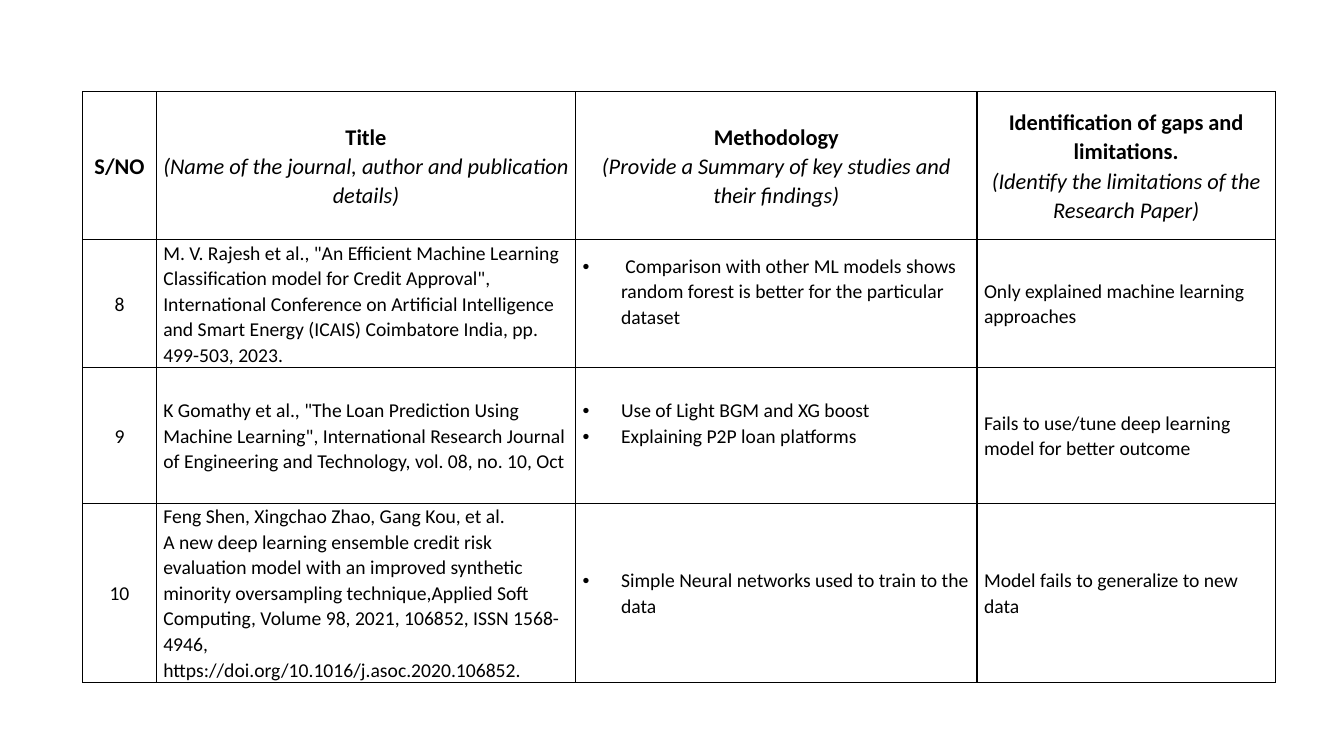
from lxml.etree import SubElement
from pptx import Presentation
from pptx.dml.color import RGBColor
from pptx.enum.text import MSO_ANCHOR, PP_ALIGN
from pptx.oxml.ns import qn
from pptx.util import Inches, Pt

COLORS = {"ink": "000000"}
COLUMN_WIDTHS = [0.73, 4.16, 3.98, 2.96]
ROW_HEIGHTS = [1.47, 1.24, 1.35, 1.35]
METHODOLOGY = 2
ROWS = [
    [
        ["S/NO"],
        ["Title", "(Name of the journal, author and publication details)"],
        ["Methodology", "(Provide a Summary of key studies and their findings)"],
        ["Identification of gaps and limitations.",
         "(Identify the limitations of the Research Paper)"],
    ],
    [
        ["8"],
        ['M. V. Rajesh et al., "An Efficient Machine Learning Classification model for '
         'Credit Approval", International Conference on Artificial Intelligence and '
         "Smart Energy (ICAIS) Coimbatore India, pp. 499-503, 2023."],
        [" Comparison with other ML models shows random forest is better for the "
         "particular dataset"],
        ["Only explained machine learning approaches"],
    ],
    [
        ["9"],
        ['K Gomathy et al., "The Loan Prediction Using Machine Learning", International '
         "Research Journal of Engineering and Technology, vol. 08, no. 10, Oct"],
        ["Use of Light BGM and XG boost", "Explaining P2P loan platforms"],
        ["Fails to use/tune deep learning model for better outcome"],
    ],
    [
        ["10"],
        ["Feng Shen, Xingchao Zhao, Gang Kou, et al.",
         "A new deep learning ensemble credit risk evaluation model with an improved "
         "synthetic minority oversampling technique,Applied Soft Computing, Volume 98, "
         "2021, 106852, ISSN 1568-4946, https://doi.org/10.1016/j.asoc.2020.106852."],
        ["Simple Neural networks used to train to the data"],
        ["Model fails to generalize to new data"],
    ],
]


def add_borders(cell):
    properties = cell._tc.get_or_add_tcPr()
    for side in ("lnL", "lnR", "lnT", "lnB"):
        line = SubElement(properties, qn(f"a:{side}"), w=str(Pt(1)))
        fill = SubElement(line, qn("a:solidFill"))
        SubElement(fill, qn("a:srgbClr"), val=COLORS["ink"])


def add_bullet(paragraph):
    properties = paragraph._p.get_or_add_pPr()
    properties.set("marL", str(Inches(0.38)))
    properties.set("indent", str(Inches(-0.38)))
    SubElement(properties, qn("a:buFont"), typeface="Arial")
    SubElement(properties, qn("a:buChar"), char="•")


presentation = Presentation()
presentation.slide_width = Inches(13.33)
presentation.slide_height = Inches(7.5)
slide = presentation.slides.add_slide(presentation.slide_layouts[6])

table = slide.shapes.add_table(
    len(ROWS), len(COLUMN_WIDTHS),
    Inches(0.82), Inches(0.91), Inches(11.82), Inches(5.8),
).table
table.first_row = False
table.horz_banding = False
for column, width in zip(table.columns, COLUMN_WIDTHS):
    column.width = Inches(width)
for row, height in zip(table.rows, ROW_HEIGHTS):
    row.height = Inches(height)

for row_index, row_texts in enumerate(ROWS):
    is_header = row_index == 0
    for column_index, texts in enumerate(row_texts):
        is_bulleted = column_index == METHODOLOGY and not is_header
        cell = table.cell(row_index, column_index)
        add_borders(cell)
        cell.fill.background()
        cell.vertical_anchor = MSO_ANCHOR.MIDDLE
        cell.margin_left = cell.margin_right = Inches(0.07)
        cell.margin_top = 0
        cell.margin_bottom = Inches(0.25 if is_bulleted and row_index < 3 else 0)
        cell.text = "\n".join(texts)
        for paragraph_index, paragraph in enumerate(cell.text_frame.paragraphs):
            paragraph.line_spacing = 1.07
            is_centered = is_header or column_index == 0
            paragraph.alignment = PP_ALIGN.CENTER if is_centered else PP_ALIGN.LEFT
            paragraph.font.name = "Calibri"
            paragraph.font.size = Pt(16 if is_header else 14)
            paragraph.font.bold = is_header and paragraph_index == 0
            paragraph.font.italic = is_header and paragraph_index == 1
            paragraph.font.color.rgb = RGBColor.from_string(COLORS["ink"])
            if is_bulleted:
                add_bullet(paragraph)

presentation.save("out.pptx")
